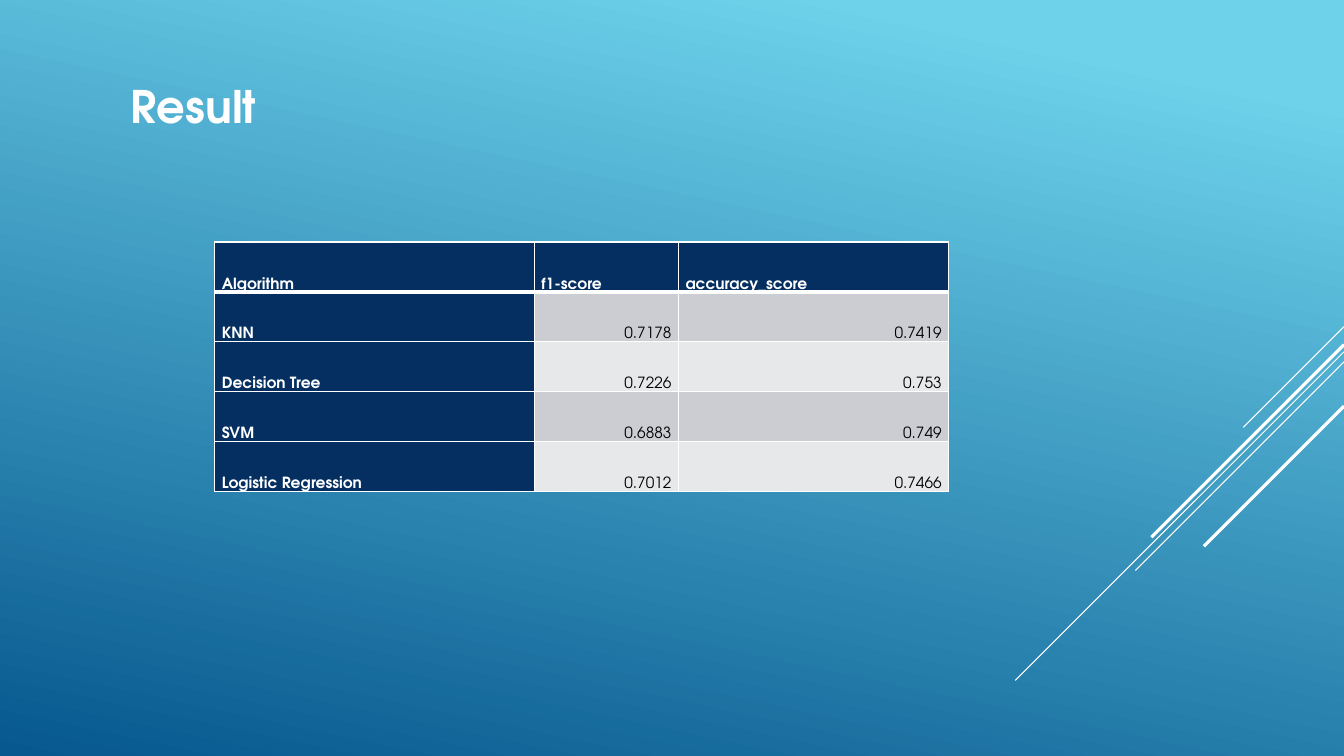
import pptx
import pptx.dml.color
import pptx.enum.shapes
import pptx.enum.text
import pptx.oxml
import pptx.oxml.ns
import pptx.util
from pptx.util import Inches

RGBColor = pptx.dml.color.RGBColor
WHITE = RGBColor(0xFF, 0xFF, 0xFF)
BLACK = RGBColor(0x00, 0x00, 0x00)
NAVY = RGBColor(0x05, 0x2F, 0x61)
DARK_BAND = RGBColor(0xCC, 0xCD, 0xD2)
LIGHT_BAND = RGBColor(0xE7, 0xE8, 0xEA)
SKY = RGBColor(0x6E, 0xD2, 0xEB)
OCEAN = RGBColor(0x06, 0x58, 0x8E)
FONT = "TeX Gyre Adventor"

SCORES = [
    ("Algorithm", "f1-score", "accuracy_score"),
    ("KNN", "0.7178", "0.7419"),
    ("Decision Tree", "0.7226", "0.753"),
    ("SVM", "0.6883", "0.749"),
    ("Logistic Regression", "0.7012", "0.7466"),
]
COLUMN_WIDTHS = (3.17, 1.43, 2.68)
ROW_HEIGHT = 0.496
RIGHT_EDGE = 13.33
DIAGONALS = [
    (3.24, 1.0, 0.75),
    (3.49, 3.26, 0.75),
    (3.59, 2.07, 0.75),
    (3.42, 1.91, 2.25),
    (4.03, 1.39, 2.25),
]


def paint_background(page):
    """Fill the page with the slanted blue gradient."""
    fill = page.background.fill
    fill.gradient()
    fill.gradient_angle = 360 - 102
    for stop, position, color in zip(fill.gradient_stops, (0.1, 1), (SKY, OCEAN)):
        stop.position = position
        stop.color.rgb = color


def add_diagonal(page, top, reach, weight):
    """Draw a 45-degree line running down and left from the right edge."""
    line = page.shapes.add_connector(
        pptx.enum.shapes.MSO_CONNECTOR.STRAIGHT,
        Inches(RIGHT_EDGE), Inches(top),
        Inches(RIGHT_EDGE - reach), Inches(top + reach))
    line.line.color.rgb = WHITE
    line.line.width = pptx.util.Pt(weight)
    pptx.oxml.ns.qn("a:effectLst")
    line._element.spPr.append(
        pptx.oxml.parse_xml(f"<a:effectLst {pptx.oxml.ns.nsdecls('a')}/>"))


def add_span(para, text, size, color, bold):
    """Append one formatted run to a paragraph."""
    span = para.add_run()
    span.text = text
    span.font.name = FONT
    span.font.size = pptx.util.Pt(size)
    span.font.bold = bold
    span.font.color.rgb = color


def add_title(page, text):
    """Place the slide title."""
    box = page.shapes.add_textbox(Inches(1.2), Inches(0.73), Inches(8.42), Inches(0.64))
    box.text_frame.word_wrap = True
    add_span(box.text_frame.paragraphs[0], text, 32, WHITE, True)


def set_borders(cell, top, bottom):
    """Give a cell white borders, with its own top and bottom weights."""
    properties = cell._tc.get_or_add_tcPr()
    for side, weight in (("L", 1), ("R", 1), ("T", top), ("B", bottom)):
        properties.append(pptx.oxml.parse_xml(
            f'<a:ln{side} {pptx.oxml.ns.nsdecls("a")} w="{pptx.util.Pt(weight)}">'
            f'<a:solidFill><a:srgbClr val="{WHITE}"/></a:solidFill></a:ln{side}>'))


def fill_cell(cell, text, row, column):
    """Write and style one cell according to its place in the table."""
    heading = row == 0 or column == 0
    set_borders(cell, 3 if row == 1 else 1, 3 if row == 0 else 1)
    cell.fill.solid()
    band = DARK_BAND if row % 2 else LIGHT_BAND
    cell.fill.fore_color.rgb = NAVY if heading else band
    cell.vertical_anchor = pptx.enum.text.MSO_ANCHOR.BOTTOM
    cell.margin_left = cell.margin_right = Inches(0.07)
    cell.margin_top = cell.margin_bottom = 0
    para = cell.text_frame.paragraphs[0]
    para.line_spacing = 1.07
    if not heading:
        para.alignment = pptx.enum.text.PP_ALIGN.RIGHT
    add_span(para, text, 11, WHITE if heading else BLACK, heading)


def add_score_table(page):
    """Build the table of scores per algorithm."""
    table = page.shapes.add_table(
        len(SCORES), len(COLUMN_WIDTHS), Inches(2.13), Inches(2.4),
        Inches(sum(COLUMN_WIDTHS)), Inches(ROW_HEIGHT * len(SCORES))).table
    table.first_col = True
    for column, width in zip(table.columns, COLUMN_WIDTHS):
        column.width = Inches(width)
    for row, values in enumerate(SCORES):
        for column, text in enumerate(values):
            fill_cell(table.cell(row, column), text, row, column)


def main():
    """Build the result slide and save the deck."""
    deck = pptx.Presentation()
    deck.slide_width, deck.slide_height = Inches(13.33), Inches(7.5)
    page = deck.slides.add_slide(deck.slide_layouts[6])
    paint_background(page)
    for top, reach, weight in DIAGONALS:
        add_diagonal(page, top, reach, weight)
    add_title(page, "Result")
    add_score_table(page)
    deck.save("out.pptx")


if __name__ == "__main__":
    main()
